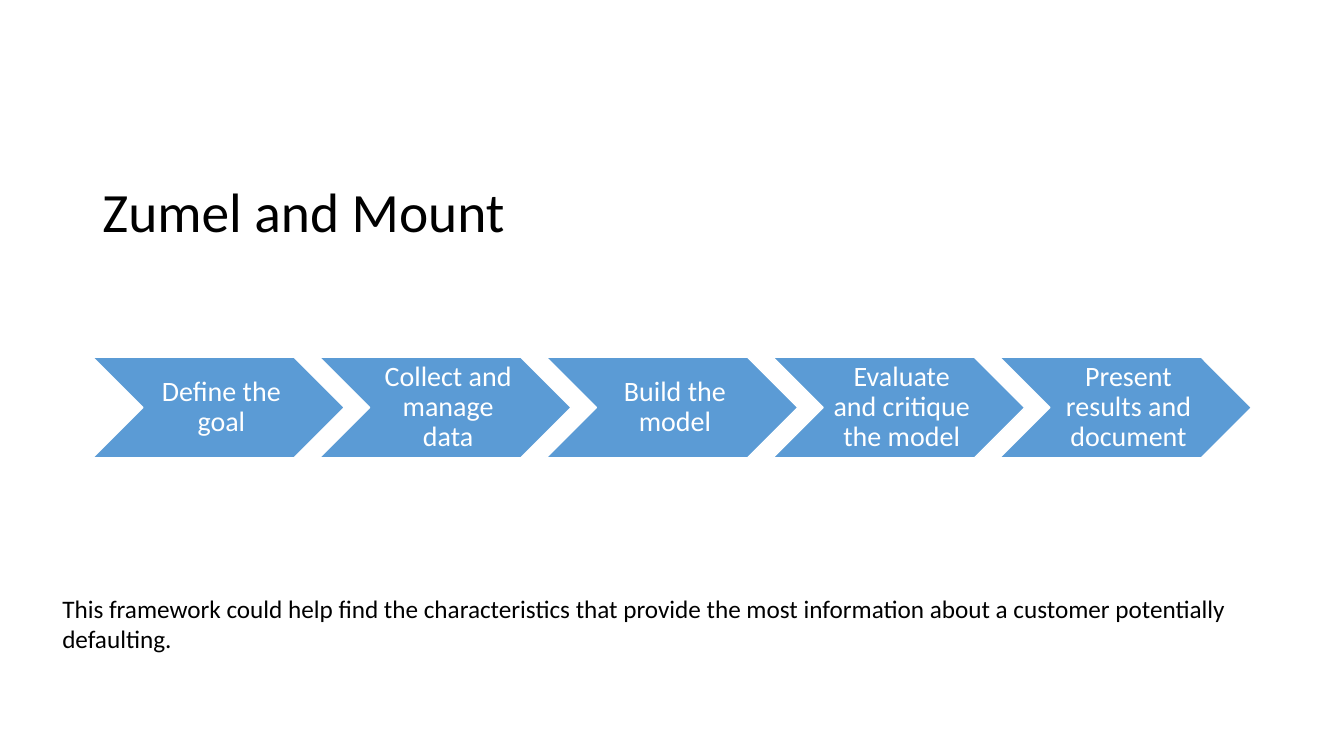
import pptx
import pptx.dml.color
import pptx.enum.shapes
import pptx.enum.text
import pptx.util

Cm = pptx.util.Cm
Pt = pptx.util.Pt
ANCHOR = pptx.enum.text.MSO_ANCHOR
FONT = "Calibri"
BLACK, WHITE, BLUE = "000000", "FFFFFF", "5B9BD5"
STEPS = [
    "Define the goal",
    "Collect and manage data",
    "Build the model",
    "Evaluate and critique the model",
    "Present results and document",
]


def color(hex_string):
    return pptx.dml.color.RGBColor.from_string(hex_string)


def write(shape, text, size, hex_string, anchor):
    """Set the shape's text as one wrapped paragraph and return that paragraph."""
    frame = shape.text_frame
    frame.text = text
    frame.word_wrap = True
    frame.vertical_anchor = anchor
    paragraph = frame.paragraphs[0]
    font = paragraph.runs[0].font
    font.name, font.size = FONT, Pt(size)
    font.color.rgb = color(hex_string)
    return paragraph


def add_title(slide, left, top, width, height):
    box = slide.shapes.add_textbox(Cm(left), Cm(top), Cm(width), Cm(height))
    paragraph = write(box, "Zumel and Mount", 39.6, BLACK, ANCHOR.BOTTOM)
    paragraph.line_spacing = 0.9
    box.text_frame.margin_bottom = 0


def add_process(slide, left, top, width, height):
    """Fill the box with chevrons, each overlapping the next by a tenth of its width."""
    step_width = width / (0.9 * len(STEPS) + 0.1)
    for index, step in enumerate(STEPS):
        chevron = slide.shapes.add_shape(
            pptx.enum.shapes.MSO_SHAPE.CHEVRON,
            Cm(left + index * 0.9 * step_width), Cm(top), Cm(step_width), Cm(height))
        chevron.shadow.inherit = False
        chevron.fill.solid()
        chevron.fill.fore_color.rgb = color(BLUE)
        chevron.line.color.rgb = color(WHITE)
        chevron.line.width = Pt(1)
        paragraph = write(chevron, step, 20, WHITE, ANCHOR.MIDDLE)
        paragraph.alignment = pptx.enum.text.PP_ALIGN.CENTER
        paragraph.line_spacing = 0.9
        frame = chevron.text_frame
        frame.margin_left = Cm(0.22)
        frame.margin_top = frame.margin_right = frame.margin_bottom = Cm(0.07)


def add_conclusion(slide, left, top, width, height):
    box = slide.shapes.add_textbox(Cm(left), Cm(top), Cm(width), Cm(height))
    write(box, "This framework could help find the characteristics that provide the most "
          "information about a customer potentially defaulting.", 18, BLACK, ANCHOR.TOP)


def main():
    presentation = pptx.Presentation()
    presentation.slide_width, presentation.slide_height = Cm(33.87), Cm(19.05)
    slide = presentation.slides.add_slide(presentation.slide_layouts[6])
    add_title(slide, 2.33, 2, 29.21, 4.15)
    add_process(slide, 2.33, 9, 29.21, 2.54)
    add_conclusion(slide, 1.32, 14.83, 30.23, 1.8)
    presentation.save("out.pptx")


if __name__ == "__main__":
    main()
